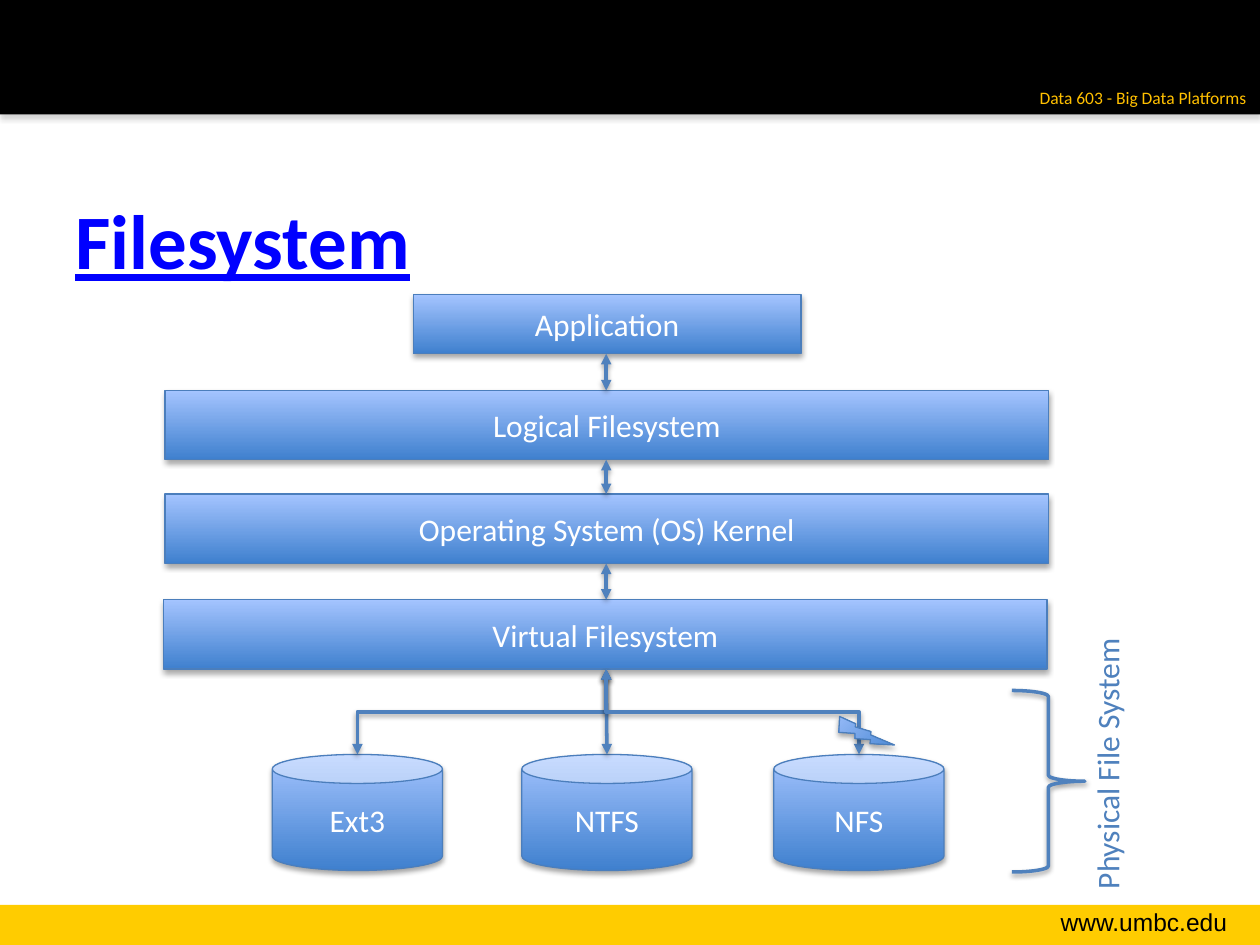
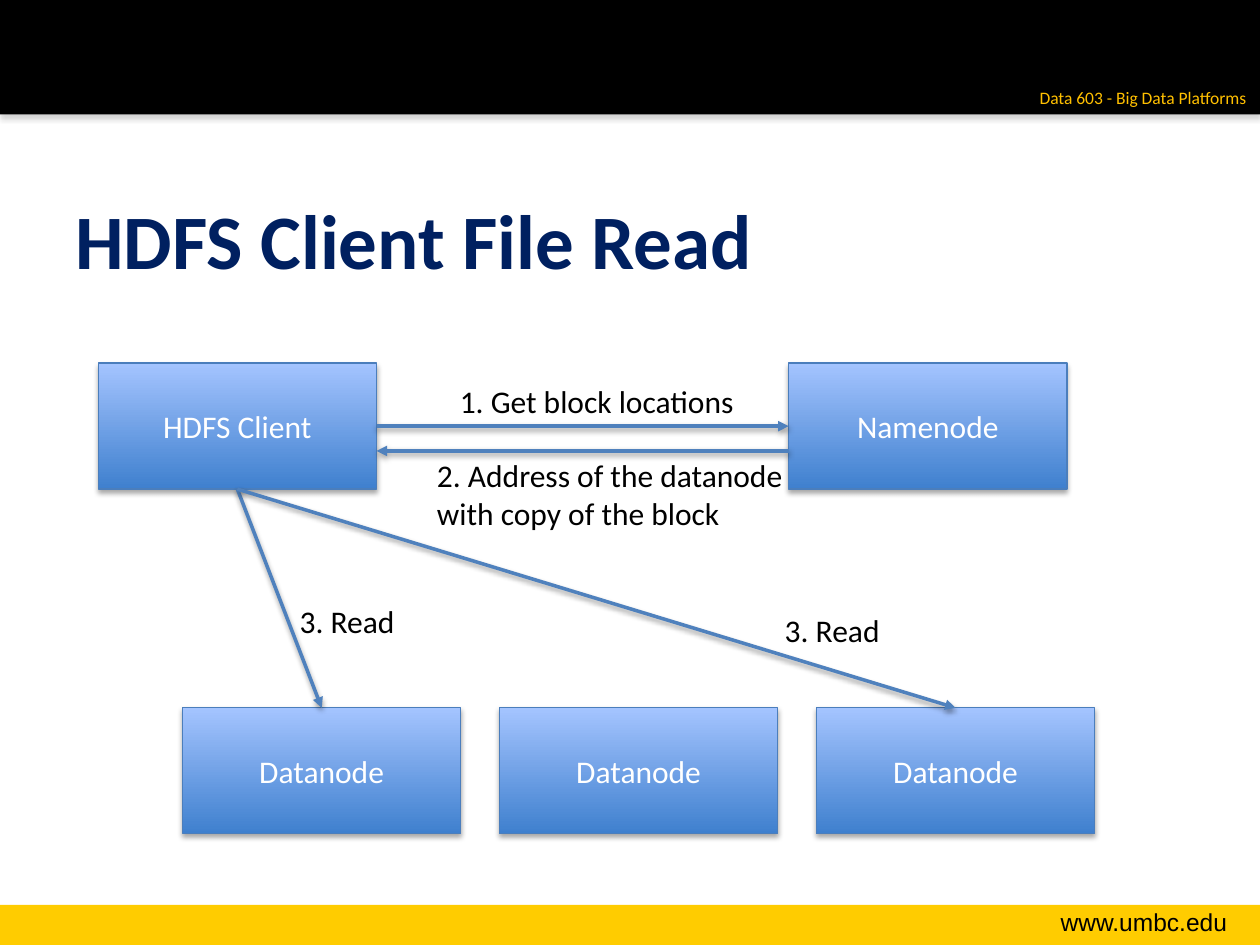
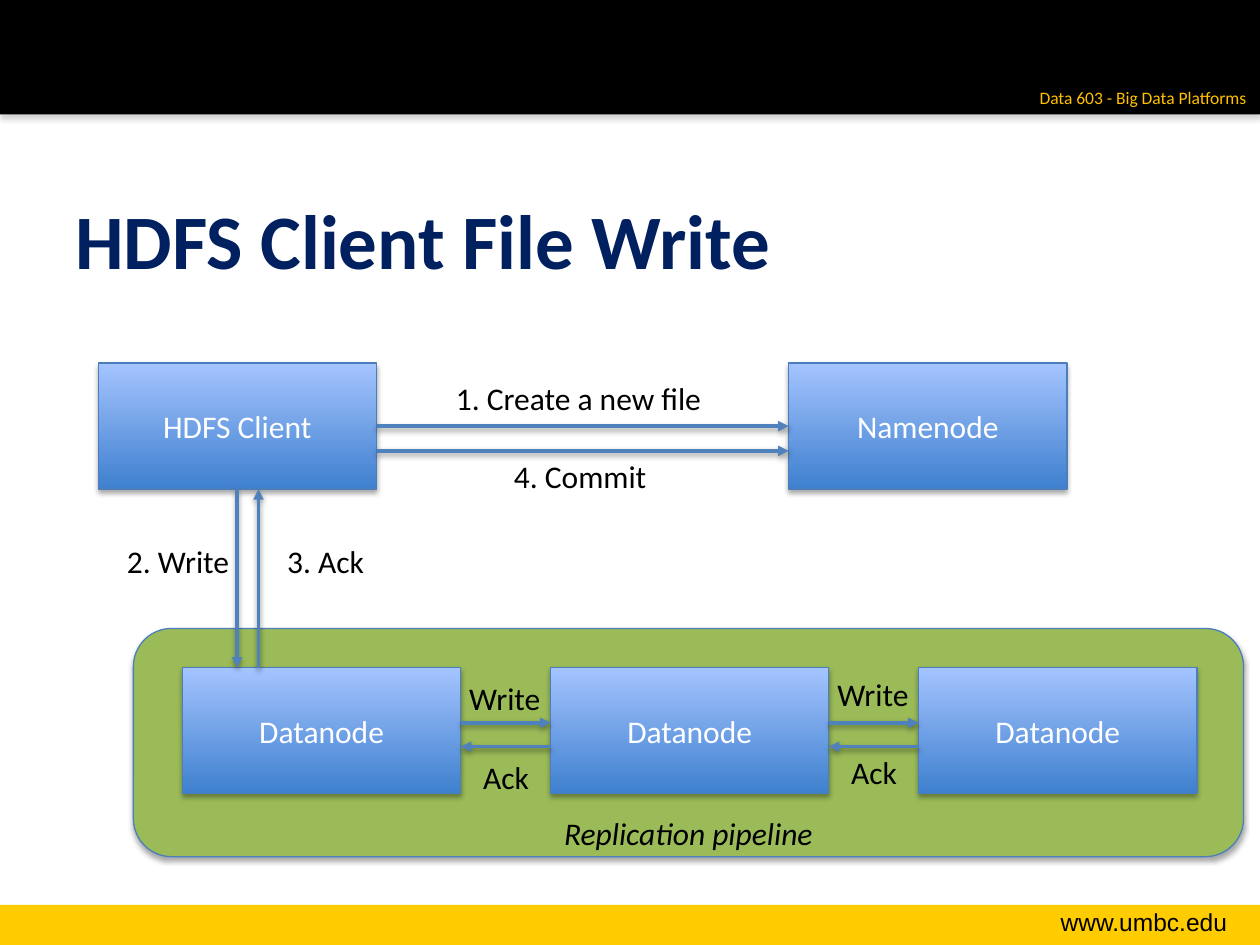
from itertools import pairwise

from lxml import etree
from pptx import Presentation
from pptx import util as u
from pptx.dml.color import RGBColor
from pptx.enum import shapes, text
from pptx.oxml.ns import qn

Cm, Pt = u.Cm, u.Pt
SHAPE, LINE = shapes.MSO_SHAPE, shapes.MSO_CONNECTOR
LEFT, CENTER, RIGHT = text.PP_ALIGN.LEFT, text.PP_ALIGN.CENTER, text.PP_ALIGN.RIGHT
MIDDLE = text.MSO_ANCHOR.MIDDLE

BLACK, WHITE, NAVY, LINK = "000000", "FFFFFF", "002060", "0000FF"
GOLD, AMBER, GREEN = "FFCC00", "FFC000", "9BBB59"
BLUE, EDGE, DEEP, LIGHT = "4F81BD", "4B7EBC", "3F80CE", "A4C4FF"

NODE_W, NODE_H = 5.61, 2.54
CLIENT_X, NAMENODE_X, TOP_Y = 1.98, 15.9, 7.32
DATANODE_X = 3.68
LABEL_H = 1.02


def rgb(value):
    return RGBColor.from_string(value)


def add_shadow(sp, color=BLACK, alpha=35, dist=1.8):
    """Give a soft shadow straight below; call after fill and line are set."""
    spPr = sp.element.spPr
    effects = spPr.find(qn("a:effectLst"))
    if effects is None:
        effects = etree.SubElement(spPr, qn("a:effectLst"))
    outer = etree.SubElement(effects, qn("a:outerShdw"), blurRad=str(Pt(3.1)),
                             dist=str(Pt(dist)), dir="5400000", rotWithShape="0")
    clr = etree.SubElement(outer, qn("a:srgbClr"), val=color)
    etree.SubElement(clr, qn("a:alpha"), val=str(alpha * 1000))


def write(tf, words, size=18, color=BLACK, align=LEFT, font="Calibri",
          bold=False, italic=False, underline=False):
    for i, line in enumerate(words.split("\n")):
        p = tf.add_paragraph() if i else tf.paragraphs[0]
        p.alignment = align
        r = p.add_run()
        r.text = line
        f = r.font
        f.name, f.size, f.color.rgb = font, Pt(size), rgb(color)
        f.bold, f.italic, f.underline = bold, italic, underline


def add_label(s, words, x, y, w, h=LABEL_H, wrap=False, **style):
    sp = s.shapes.add_textbox(Cm(x), Cm(y), Cm(w), Cm(h))
    sp.text_frame.word_wrap = wrap
    write(sp.text_frame, words, **style)
    return sp


def add_plain(s, kind, x, y, w, h, fill=None, edge=None, width=0.75):
    sp = s.shapes.add_shape(kind, Cm(x), Cm(y), Cm(w), Cm(h))
    sp.shadow.inherit = False
    if fill:
        sp.fill.solid()
        sp.fill.fore_color.rgb = rgb(fill)
    else:
        sp.fill.background()
    if edge:
        sp.line.color.rgb = rgb(edge)
        sp.line.width = Pt(width)
    else:
        sp.line.fill.background()
    return sp


def add_block(s, words, x, y, w, h, kind=SHAPE.RECTANGLE):
    """Blue gradient shape with centred white text."""
    sp = add_plain(s, kind, x, y, w, h, edge=EDGE)
    sp.fill.gradient()
    sp.fill.gradient_angle = 90
    for stop, color in zip(sp.fill.gradient_stops, (DEEP, LIGHT)):
        stop.color.rgb = rgb(color)
    for stop, position in zip(sp.fill.gradient_stops, (0, 1)):
        stop.position = position
    add_shadow(sp)
    if words:
        sp.text_frame.vertical_anchor = MIDDLE
        write(sp.text_frame, words, color=WHITE, align=CENTER)
    return sp


def add_arrow(s, x1, y1, x2, y2, both=False, kind=LINE.STRAIGHT):
    c = s.shapes.add_connector(kind, Cm(x1), Cm(y1), Cm(x2), Cm(y2))
    c.line.width = Pt(2)
    c.line.color.rgb = rgb(BLUE)
    ln = c.element.spPr.find(qn("a:ln"))
    for end in ("a:headEnd", "a:tailEnd") if both else ("a:tailEnd",):
        etree.SubElement(ln, qn(end), type="triangle")
    add_shadow(c, alpha=38, dist=1.6)
    return c


def add_drop(s, x1, y1, x2, y2):
    """Elbow that leaves and arrives vertically: a quarter-turned connector."""
    cx, cy = (x1 + x2) / 2, (y1 + y2) / 2
    side = 1 if x2 < x1 else -1
    dx, dy = side * (y2 - y1) / 2, abs(x2 - x1) / 2
    c = add_arrow(s, cx - dx, cy - dy, cx + dx, cy + dy, True, LINE.ELBOW)
    c.element.spPr.find(qn("a:xfrm")).set("rot", str((90 if side > 0 else 270) * 60000))


def new_slide(prs, title, color=NAVY, underline=False):
    s = prs.slides.add_slide(prs.slide_layouts[6])
    add_plain(s, SHAPE.RECTANGLE, 0, 18.24, 25.4, 0.81, GOLD)
    band = add_plain(s, SHAPE.RECTANGLE, 0, 0, 25.4, 2.31, BLACK)
    add_shadow(band, "808080")
    add_label(s, "www.umbc.edu", 19.94, 18.16, 5.05, 0.86, wrap=True,
              size=14, font="Arial", align=RIGHT)
    add_label(s, "Data 603 - Big Data Platforms", 20.62, 1.63, 4.75, 0.69,
              size=10, color=AMBER, align=RIGHT)
    heading = add_label(s, title, 1.27, 3.23, 22.86, 3.18, wrap=True, size=44,
                        color=color, bold=True, underline=underline)
    heading.text_frame.vertical_anchor = MIDDLE
    return s


def add_nodes(s, y, pitch):
    """Draw client, namenode and three datanodes; return the datanodes' lefts."""
    add_block(s, "HDFS Client", CLIENT_X, TOP_Y, NODE_W, NODE_H)
    add_block(s, "Namenode", NAMENODE_X, TOP_Y, NODE_W, NODE_H)
    lefts = [DATANODE_X + i * pitch for i in range(3)]
    for x in lefts:
        add_block(s, "Datanode", x, y, NODE_W, NODE_H)
    return lefts


def filesystem_slide(prs):
    s = new_slide(prs, "Filesystem", LINK, underline=True)
    layers = [("Application", 8.33, 5.94, 7.82, 1.19),
              ("Logical Filesystem", 3.33, 7.87, 17.81, 1.4),
              ("Operating System (OS) Kernel", 3.33, 9.96, 17.81, 1.4),
              ("Virtual Filesystem", 3.3, 12.09, 17.81, 1.4)]
    for layer in layers:
        add_block(s, *layer)
    axis = 12.22
    for (_, _, y, _, h), below in pairwise(layers):
        add_arrow(s, axis, y + h, axis, below[2], both=True)

    disk_y, disk_w, trunk_y = 15.21, 3.43, 13.49
    disks = {"Ext3": 5.49, "NTFS": 10.52, "NFS": 15.6}
    for name, x in disks.items():
        add_block(s, name, x, disk_y, disk_w, 2.34, SHAPE.CAN)
    for name, x in disks.items():
        connect = add_arrow if name == "NTFS" else add_drop
        target = (x + disk_w / 2, disk_y)
        if connect is add_arrow:
            add_arrow(s, axis, trunk_y, *target, both=True)
        else:
            add_drop(s, axis, trunk_y, *target)

    brace = add_plain(s, SHAPE.RIGHT_BRACE, 20.4, 13.92, 1.47, 3.66, edge=BLUE, width=2)
    add_shadow(brace, alpha=38, dist=1.6)
    side = add_label(s, "Physical File System", 19.51, 14.86, 5.61, color=BLUE)
    side.rotation = 270
    bolt = add_block(s, "", 17.09, 14.22, 0.61, 1.19, SHAPE.LIGHTNING_BOLT)
    bolt.rotation = 314.8


def read_slide(prs):
    s = new_slide(prs, "HDFS Client File Read")
    data_y = 14.27
    lefts = add_nodes(s, data_y, 6.39)
    client_right = CLIENT_X + NODE_W
    add_arrow(s, client_right, 8.59, NAMENODE_X, 8.59)
    add_arrow(s, NAMENODE_X, 9.09, client_right, 9.09)
    for x in (lefts[0], lefts[2]):
        add_arrow(s, CLIENT_X + NODE_W / 2, TOP_Y + NODE_H, x + NODE_W / 2, data_y)
    add_label(s, "1. Get block locations", 9.02, 7.57, 6.1)
    add_label(s, "2. Address of the datanode\nwith copy of the block", 8.56, 9.07, 7.7, 1.8)
    add_label(s, "3. Read", 5.79, 12.01, 2.44)
    add_label(s, "3. Read", 15.57, 12.19, 2.44)


def write_slide(prs):
    s = new_slide(prs, "HDFS Client File Write")
    pipeline = add_plain(s, SHAPE.ROUNDED_RECTANGLE, 2.69, 12.67, 22.38, 4.6, GREEN, EDGE)
    add_shadow(pipeline)
    data_y = 13.46
    lefts = add_nodes(s, data_y, 7.42)
    client_bottom = TOP_Y + NODE_H
    for y in (8.59, 9.09):
        add_arrow(s, CLIENT_X + NODE_W, y, NAMENODE_X, y)
    add_arrow(s, 4.78, client_bottom, 4.78, data_y)
    add_arrow(s, 5.21, data_y, 5.21, client_bottom)
    add_label(s, "1. Create a new file", 8.94, 7.52, 5.54)
    add_label(s, "2. Write", 2.31, 10.8, 2.57)
    add_label(s, "3. Ack", 5.54, 10.8, 2.08)
    add_label(s, "4. Commit", 10.11, 9.09, 3.2)

    label_rows = [(13.56, 15.16), (13.49, 15.06)]
    for (x, following), (write_y, ack_y) in zip(pairwise(lefts), label_rows):
        right = x + NODE_W
        add_arrow(s, right, 14.57, following, 14.57)
        add_arrow(s, following, 15.05, right, 15.05)
        add_label(s, "Write", right - 0.08, write_y, 1.96)
        add_label(s, "Ack", right + 0.2, ack_y, 1.45)
    add_label(s, "Replication pipeline", 2.69, 16.28, 22.38, wrap=True,
              align=CENTER, italic=True)


def main():
    prs = Presentation()
    prs.slide_width, prs.slide_height = Cm(25.4), Cm(19.05)
    filesystem_slide(prs)
    read_slide(prs)
    write_slide(prs)
    prs.save("out.pptx")


if __name__ == "__main__":
    main()
